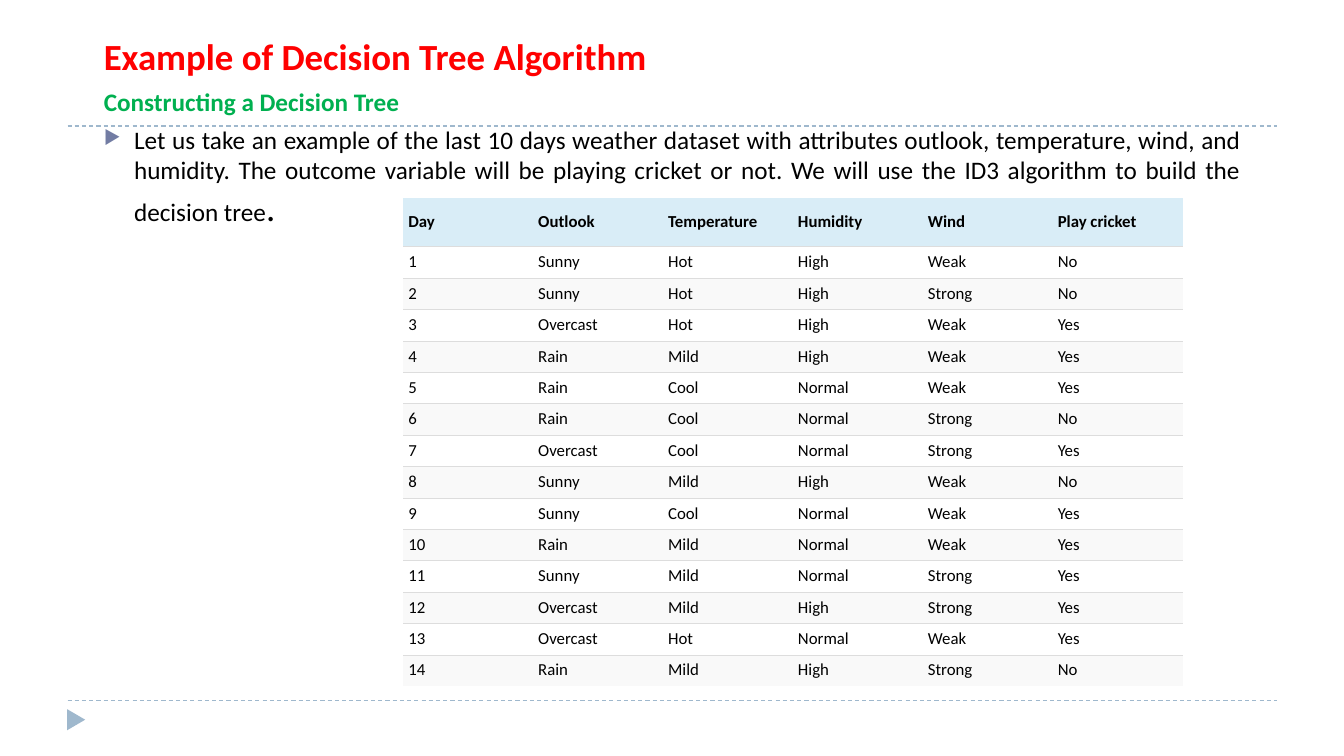
from dataclasses import dataclass
from typing import Any

from lxml import etree
from pptx import Presentation
from pptx import util as u
from pptx.dml.color import RGBColor
from pptx.enum import dml, shapes, text
from pptx.oxml import ns


@dataclass(frozen=True)
class Theme:
    font: str = "Calibri"
    title_color: str = "FF0000"
    subtitle_color: str = "00B050"
    text_color: str = "000000"
    accent: str = "9FB8CD"
    bullet: str = "727CA3"
    header_fill: str = "D9EDF7"
    row_fills: tuple[str, str] = ("FFFFFF", "F9F9F9")
    border: str = "DDDDDD"
    title_size: float = 26.3
    body_size: float = 18
    table_size: float = 12
    line_width: float = 0.75


@dataclass(frozen=True)
class Run:
    content: str
    size: float
    color: str
    bold: bool = False


@dataclass(frozen=True)
class Block:
    runs: tuple[Run, ...]
    justified: bool = True
    bulleted: bool = False


THEME = Theme()
RULE_HEIGHTS = (1.25, 6.95)
RULE_LEFT, RULE_RIGHT = 0.67, 12.67
HEADER_HEIGHT, TABLE_HEIGHT = 0.49, 4.85
TABLE_LEFT, TABLE_TOP, TABLE_WIDTH = 4, 1.96, 7.73

BLOCKS = (
    Block((Run("Example of Decision Tree Algorithm", THEME.title_size, THEME.title_color, True),),
          justified=False),
    Block((Run("Constructing a Decision Tree", THEME.body_size, THEME.subtitle_color, True),)),
    Block((
        Run("Let us take an example of the last 10 days weather dataset with attributes outlook, "
            "temperature, wind, and humidity. The outcome variable will be playing cricket or not. "
            "We will use the ID3 algorithm to build the decision tree",
            THEME.body_size, THEME.text_color),
        Run(".", THEME.title_size, THEME.text_color),
    ), bulleted=True),
)

HEADERS = ("Day", "Outlook", "Temperature", "Humidity", "Wind", "Play cricket")
DAYS = (
    ("Sunny", "Hot", "High", "Weak", "No"),
    ("Sunny", "Hot", "High", "Strong", "No"),
    ("Overcast", "Hot", "High", "Weak", "Yes"),
    ("Rain", "Mild", "High", "Weak", "Yes"),
    ("Rain", "Cool", "Normal", "Weak", "Yes"),
    ("Rain", "Cool", "Normal", "Strong", "No"),
    ("Overcast", "Cool", "Normal", "Strong", "Yes"),
    ("Sunny", "Mild", "High", "Weak", "No"),
    ("Sunny", "Cool", "Normal", "Weak", "Yes"),
    ("Rain", "Mild", "Normal", "Weak", "Yes"),
    ("Sunny", "Mild", "Normal", "Strong", "Yes"),
    ("Overcast", "Mild", "High", "Strong", "Yes"),
    ("Overcast", "Hot", "Normal", "Weak", "Yes"),
    ("Rain", "Mild", "High", "Strong", "No"),
)


def apply_format(target: Any, values: dict[str, Any]) -> None:
    for name, value in values.items():
        setattr(target, name, value)


def add_run(paragraph: Any, item: Run) -> None:
    run = paragraph.add_run()
    run.text = item.content
    apply_format(run.font, {"name": THEME.font, "size": u.Pt(item.size), "bold": item.bold})
    run.font.color.rgb = RGBColor.from_string(item.color)


def add_rule(slide: Any, top: float) -> None:
    rule = slide.shapes.add_connector(
        shapes.MSO_CONNECTOR.STRAIGHT,
        u.Inches(RULE_LEFT), u.Inches(top), u.Inches(RULE_RIGHT), u.Inches(top))
    rule.line.color.rgb = RGBColor.from_string(THEME.accent)
    apply_format(rule.line, {"width": u.Pt(THEME.line_width),
                             "dash_style": dml.MSO_LINE.DASH})
    etree.SubElement(rule._element.spPr, ns.qn("a:effectLst"))


def add_corner_marker(slide: Any) -> None:
    marker = slide.shapes.add_shape(
        shapes.MSO_SHAPE.ISOSCELES_TRIANGLE,
        u.Inches(0.65), u.Inches(7.05), u.Inches(0.21), u.Inches(0.18))
    marker.rotation = 90
    marker.shadow.inherit = False
    marker.fill.solid()
    marker.fill.fore_color.rgb = RGBColor.from_string(THEME.accent)
    marker.line.fill.background()


def add_bullet(paragraph: Any) -> None:
    properties = paragraph._p.get_or_add_pPr()
    properties.set("marL", str(u.Inches(0.3)))
    properties.set("indent", str(u.Inches(-0.3)))
    color = etree.SubElement(properties, ns.qn("a:buClr"))
    etree.SubElement(color, ns.qn("a:srgbClr"), val=THEME.bullet)
    etree.SubElement(properties, ns.qn("a:buSzPct"), val="76000")
    etree.SubElement(properties, ns.qn("a:buChar"), char="▶")


def add_body(slide: Any) -> None:
    box = slide.shapes.add_textbox(u.Inches(0.92), u.Inches(0.27), u.Inches(11.5), u.Inches(6.49))
    frame = box.text_frame
    apply_format(frame, {
        "word_wrap": True,
        "margin_left": u.Inches(0.11), "margin_right": u.Inches(0.11),
        "margin_top": u.Inches(0.06), "margin_bottom": u.Inches(0.06),
    })
    for index, block in enumerate(BLOCKS):
        paragraph = frame.add_paragraph() if index else frame.paragraphs[0]
        paragraph.space_before = u.Pt(6)
        if block.justified:
            paragraph.alignment = text.PP_ALIGN.JUSTIFY
        if block.bulleted:
            add_bullet(paragraph)
        for item in block.runs:
            add_run(paragraph, item)


def set_borders(cell: Any, visible: str) -> None:
    """Draw the sides named in visible (letters of LRTB) and clear the others."""
    properties = cell._tc.get_or_add_tcPr()
    for position, side in enumerate("LRTB"):
        line = etree.Element(ns.qn(f"a:ln{side}"), w=str(u.Pt(THEME.line_width)))
        if side in visible:
            fill = etree.SubElement(line, ns.qn("a:solidFill"))
            etree.SubElement(fill, ns.qn("a:srgbClr"), val=THEME.border)
        else:
            etree.SubElement(line, ns.qn("a:noFill"))
        properties.insert(position, line)


def fill_cell(cell: Any, content: str, fill: str, header: bool, borders: str) -> None:
    margins = ("margin_left", "margin_right", "margin_top", "margin_bottom")
    apply_format(cell, dict.fromkeys(margins, u.Inches(0.05)))
    cell.vertical_anchor = text.MSO_ANCHOR.MIDDLE if header else text.MSO_ANCHOR.TOP
    cell.fill.solid()
    cell.fill.fore_color.rgb = RGBColor.from_string(fill)
    add_run(cell.text_frame.paragraphs[0],
            Run(content, THEME.table_size, THEME.text_color, header))
    set_borders(cell, borders)


def add_weather_table(slide: Any) -> None:
    records = [HEADERS, *((str(day), *values) for day, values in enumerate(DAYS, 1))]
    table = slide.shapes.add_table(
        len(records), len(HEADERS), u.Inches(TABLE_LEFT), u.Inches(TABLE_TOP),
        u.Inches(TABLE_WIDTH), u.Inches(TABLE_HEIGHT)).table
    table.horz_banding = False
    day_height = (TABLE_HEIGHT - HEADER_HEIGHT) / len(DAYS)
    for row, record in enumerate(records):
        header = row == 0
        table.rows[row].height = u.Inches(HEADER_HEIGHT if header else day_height)
        fill = THEME.header_fill if header else THEME.row_fills[(row - 1) % 2]
        borders = "B" if header else "T" if row == len(DAYS) else "TB"
        for column, content in enumerate(record):
            fill_cell(table.cell(row, column), content, fill, header, borders)


def main() -> None:
    presentation = Presentation()
    apply_format(presentation, {"slide_width": u.Inches(13.33), "slide_height": u.Inches(7.5)})
    slide = presentation.slides.add_slide(presentation.slide_layouts[6])
    for top in reversed(RULE_HEIGHTS):
        add_rule(slide, top)
    add_corner_marker(slide)
    add_body(slide)
    add_weather_table(slide)
    presentation.save("out.pptx")


if __name__ == "__main__":
    main()
